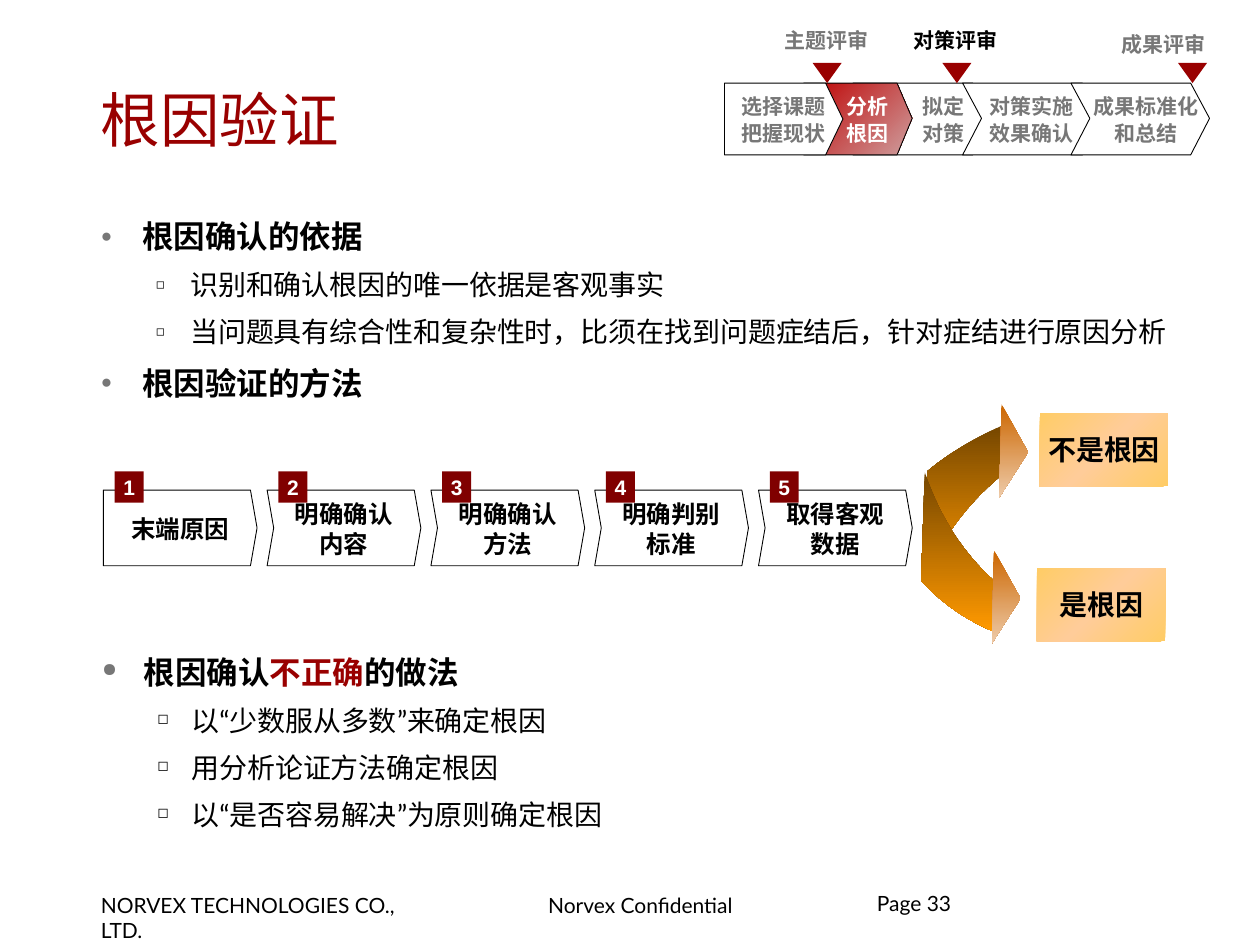
from typing import NamedTuple

from lxml.etree import SubElement
from pptx import Presentation
from pptx.dml.color import RGBColor
from pptx.enum.shapes import MSO_SHAPE
from pptx.enum.text import MSO_ANCHOR, MSO_AUTO_SIZE, PP_ALIGN
from pptx.oxml.ns import qn
from pptx.util import Inches, Pt

BLACK, WHITE, GREY, RED, MAROON = "000000", "FFFFFF", "777777", "990000", "800000"
PADDED, TIGHT, NONE = (0.09, 0.04), (0.05, 0.05), (0, 0)
GOLD = ["FFCC66", "FFCC99", "FFCC66"]


class Stage(NamedTuple):
    left: float
    width: float
    lines: str
    color: str = GREY


class Review(NamedTuple):
    left: float
    top: float
    text: str
    color: str
    marker: float


class Item(NamedTuple):
    level: int
    spans: list


class Branch(NamedTuple):
    """Each arc is start, control point, end; head is a triangle."""
    inner: list
    outer: list
    head: list


def color_of(value: str) -> RGBColor:
    return RGBColor.from_string(value)


def style_run(span, size: float, color: str, font: str, bold: bool) -> None:
    span.font.size, span.font.bold, span.font.name = Pt(size), bold, font
    span.font.color.rgb = color_of(color)
    SubElement(span.font._element, qn("a:ea")).set("typeface", "Lato")


def set_frame(frame, insets, anchor=MSO_ANCHOR.TOP, wrap=True) -> None:
    frame.auto_size, frame.word_wrap = MSO_AUTO_SIZE.NONE, wrap
    frame.vertical_anchor = anchor
    frame.margin_left = frame.margin_right = Inches(insets[0])
    frame.margin_top = frame.margin_bottom = Inches(insets[1])


def write(shape, text: str, size: float, color: str, font="Arial", bold=True,
          align=PP_ALIGN.LEFT, spacing=1.0, **frame_options) -> None:
    set_frame(shape.text_frame, **frame_options)
    shape.text_frame.text = text
    for para in shape.text_frame.paragraphs:
        para.alignment, para.line_spacing = align, spacing
        for span in para.runs:
            style_run(span, size, color, font, bold)


def add_label(page, place, *args, **options) -> None:
    box = page.shapes.add_textbox(*map(Inches, place))
    write(box, *args, **options)


def paint(shape, fill=None, line=None, angle=90) -> None:
    """fill is None, one hex colour, or a list of gradient colours."""
    shape.shadow.inherit = False
    if fill is None:
        shape.fill.background()
    elif isinstance(fill, str):
        shape.fill.solid()
        shape.fill.fore_color.rgb = color_of(fill)
    else:
        shape.fill.gradient()
        shape.fill.gradient_angle = 360 - angle
        stops = shape._element.spPr.find(qn("a:gradFill")).find(qn("a:gsLst"))
        stops.clear()
        for index, color in enumerate(fill):
            stop = SubElement(stops, qn("a:gs"), pos=str(100000 * index // (len(fill) - 1)))
            SubElement(stop, qn("a:srgbClr"), val=color)
    if line:
        shape.line.color.rgb, shape.line.width = color_of(line), Pt(0.5)
    else:
        shape.line.fill.background()


def add_preset(page, kind, place, adjustment=None, **look):
    shape = page.shapes.add_shape(kind, *map(Inches, place))
    if adjustment is not None:
        shape.adjustments[0] = adjustment
    paint(shape, **look)
    return shape


def add_outline(page, points, **look) -> None:
    corners = [(Inches(x), Inches(y)) for x, y in points]
    builder = page.shapes.build_freeform(*corners[0], scale=1.0)
    builder.add_line_segments(corners[1:], close=True)
    paint(builder.convert_to_shape(), **look)


def add_chevron(page, left, width, notch, fill) -> None:
    top, middle, bottom, right = 0.66, 0.94, 1.23, left + width
    add_outline(page, [(left, top), (right - notch, top), (right, middle),
                       (right - notch, bottom), (left, bottom), (left + notch, middle)],
                fill=fill, line=BLACK, angle=45)


def arc(start, control, end, steps=24) -> list:
    ratios = [step / steps for step in range(steps + 1)]
    return [tuple((1 - t) ** 2 * a + 2 * t * (1 - t) * b + t * t * c
                  for a, b, c in zip(start, control, end)) for t in ratios]


def fill_list(shape, items) -> None:
    frame = shape.text_frame
    set_frame(frame, PADDED)
    for index, item in enumerate(items):
        para = frame.add_paragraph() if index else frame.paragraphs[0]
        para.level = item.level
        indent, hanging, mark, color, percent, size = (
            (0.71, -0.27, "◻", BLACK, 50, 16) if item.level
            else (0.33, -0.33, "●", GREY, 60, 18))
        props = para._p.get_or_add_pPr()
        props.set("marL", str(Inches(indent)))
        props.set("indent", str(Inches(hanging)))
        SubElement(SubElement(props, qn("a:buClr")), qn("a:srgbClr"), val=color)
        SubElement(props, qn("a:buSzPct"), val=str(percent * 1000))
        SubElement(props, qn("a:buChar"), char=mark)
        para.line_spacing, para.space_before = 1.4, Pt(0)
        for text, text_color in item.spans:
            span = para.add_run()
            span.text = text
            style_run(span, size, text_color, "Lato", item.level == 0)


STAGES = [Stage(6.61, 0.55, "分析\n根因", WHITE), Stage(7.21, 0.55, "拟定\n对策"),
          Stage(8.62, 0.95, "成果标准化\n和总结"), Stage(7.79, 0.79, "对策实施\n效果确认"),
          Stage(5.82, 0.79, "选择课题\n把握现状")]
REVIEWS = [Review(6.14, 0.18, "主题评审", GREY, 6.45), Review(7.16, 0.18, "对策评审", BLACK, 7.48),
           Review(8.81, 0.21, "成果评审", GREY, 9.35)]
BASIS = [Item(0, [("根因确认的依据", BLACK)]),
         Item(1, [("识别和确认根因的唯一依据是客观事实", BLACK)]),
         Item(1, [("当问题具有综合性和复杂性时，比须在找到问题症结后，针对症结进行原因分析", BLACK)]),
         Item(0, [("根因验证的方法", BLACK)])]
MISTAKES = [Item(0, [("根因确认", BLACK), ("不正确", RED), ("的做法", BLACK)]),
            Item(1, [("以“少数服从多数”来确定根因", BLACK)]),
            Item(1, [("用分析论证方法确定根因", BLACK)]),
            Item(1, [("以“是否容易解决”为原则确定根因", BLACK)])]
STEPS = ["末端原因", "明确确认内容", "明确确认方法", "明确判别标准", "取得客观数据"]
BRANCHES = [
    Branch([(7.94, 3.78), (7.52, 4.13), (7.34, 4.61)], [(7.36, 3.74), (7.6, 3.54), (7.95, 3.38)],
           [(7.95, 3.21), (7.93, 3.95), (8.16, 3.59)]),
    Branch([(7.89, 4.61), (7.52, 4.28), (7.34, 3.75)], [(7.31, 4.61), (7.55, 4.87), (7.88, 5.01)],
           [(7.89, 4.37), (7.87, 5.11), (8.1, 4.75)])]


def main() -> None:
    deck = Presentation()
    deck.slide_width, deck.slide_height = Inches(10), Inches(7.5)
    page = deck.slides.add_slide(deck.slide_layouts[1])

    # Footer
    for place, text, insets, spacing in [
            ((0.71, 7.04, 2.6, 0.29), "NORVEX TECHNOLOGIES CO., LTD.", PADDED, 1.0),
            ((4.26, 7.04, 1.78, 0.29), "Norvex Confidential", PADDED, 1.0),
            ((6.96, 7.1, 2.29, 0.5), "Page 33", NONE, 0.85)]:
        add_label(page, place, text, 12, BLACK, font="Lato", bold=False,
                  spacing=spacing, insets=insets)

    # Title and first list
    title, body = page.shapes.title, page.placeholders[1]
    for holder, place in [(title, (0.71, 0.47, 4.92, 0.95)), (body, (0.71, 1.56, 8.67, 1.72))]:
        holder.left, holder.top, holder.width, holder.height = map(Inches, place)
    write(title, "根因验证", 34, RED, font="Lato", bold=False,
          insets=PADDED, anchor=MSO_ANCHOR.MIDDLE)
    fill_list(body, BASIS)

    # Stage tracker with review markers
    add_chevron(page, 6.77, 1.1, 0.15, WHITE)
    add_chevron(page, 6.38, 0.86, 0.12, ["BE0202", "CE9E9E"])
    for left in (7.64, 8.5):
        add_chevron(page, left, 1.1, 0.15, WHITE)
    add_preset(page, MSO_SHAPE.PENTAGON, (5.75, 0.66, 0.94, 0.57), 0.241, fill=WHITE, line=BLACK)
    for stage in STAGES:
        add_label(page, (stage.left, 0.67, stage.width, 0.54), stage.lines, 12, stage.color,
                  align=PP_ALIGN.CENTER, spacing=1.1, insets=TIGHT)
    for review in REVIEWS:
        add_label(page, (review.left, review.top, 0.87, 0.29), review.text, 12, review.color,
                  font="Noto Sans CJK SC", insets=PADDED)
        add_preset(page, MSO_SHAPE.FLOWCHART_MERGE, (review.marker, 0.5, 0.23, 0.16), fill=RED)

    # Second list
    fill_list(page.shapes.add_textbox(*map(Inches, (0.72, 5.02, 8.67, 1.65))), MISTAKES)

    # Numbered verification steps
    centred = dict(align=PP_ALIGN.CENTER, insets=NONE, anchor=MSO_ANCHOR.MIDDLE)
    for index, step in enumerate(STEPS):
        left = 0.82 + 1.3 * index
        kind = MSO_SHAPE.CHEVRON if index else MSO_SHAPE.PENTAGON
        add_preset(page, kind, (left, 3.89, 1.22, 0.6), 0.087, line=BLACK)
        add_label(page, (left + 0.18, 3.96, 0.86, 0.47), step, 14, BLACK, **centred)
        badge = add_preset(page, MSO_SHAPE.RECTANGLE, (left + 0.09, 3.74, 0.23, 0.25), fill=MAROON)
        write(badge, str(index + 1), 12, WHITE, **centred)

    # Outcomes and the arrows leading to them
    for left, top, text, text_left, width in [(8.23, 4.51, "是根因", 8.32, 0.84),
                                              (8.25, 3.28, "不是根因", 8.23, 1.06)]:
        add_preset(page, MSO_SHAPE.RECTANGLE, (left, top, 1.02, 0.58), fill=GOLD, angle=45)
        add_label(page, (text_left, top + 0.11, width, 0.35), text, 16, BLACK,
                  insets=PADDED, wrap=False)
    for branch in BRANCHES:
        add_outline(page, arc(*branch.inner) + arc(*branch.outer), fill=["764700", "FF9900"])
        add_outline(page, branch.head, fill=["CC6600", "EECBA9"])

    deck.save("out.pptx")


if __name__ == "__main__":
    main()
